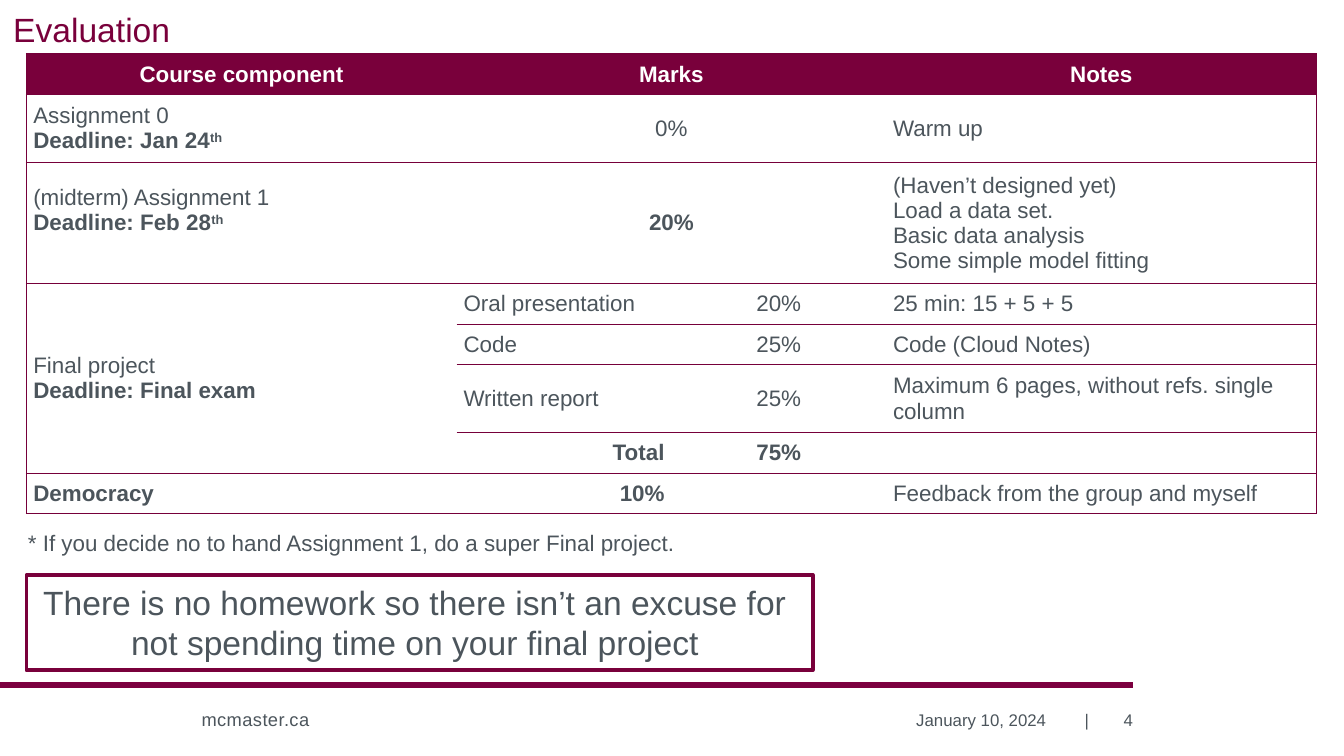
from lxml import etree
from pptx import Presentation
from pptx import util as u
from pptx.dml import color
from pptx.enum import shapes, text
from pptx.oxml import ns

WINE, EDGE, GREY, WHITE = "79003B", "76003A", "4C555C", "FFFFFF"
ALIGN = {"l": text.PP_ALIGN.LEFT, "c": text.PP_ALIGN.CENTER,
         "r": text.PP_ALIGN.RIGHT}
MID = text.MSO_ANCHOR.MIDDLE
LOW = text.MSO_ANCHOR.BOTTOM


def rgb(code):
    return color.RGBColor.from_string(code)


def put(item, vals):
    for name, val in vals.items():
        setattr(item, name, val)


class Deck:
    """Holds the text style and the current slide."""

    def __init__(self, wide, high):
        self.show = Presentation()
        put(self.show, {"slide_width": u.Cm(wide), "slide_height": u.Cm(high)})
        self.slide = self.show.slides.add_slide(self.show.slide_layouts[5])
        self.font = {"name": "Arial", "size": u.Pt(12), "bold": False}

    def words(self, frame, lines, side="l", ink=GREY, **style):
        """A leading ** makes a line bold; text after ^ is raised."""
        for num, line in enumerate(lines):
            para = frame.paragraphs[0] if num == 0 else frame.add_paragraph()
            para.alignment = ALIGN[side]
            bold = line.startswith("**")
            for pos, part in enumerate(line.removeprefix("**").split("^")):
                run = para.add_run()
                run.text = part
                put(run.font, {**self.font, "bold": bold, **style})
                run.font.color.rgb = rgb(ink)
                if pos:
                    run.font._element.set("baseline", "30000")

    def title(self, line, box, frame):
        head = self.slide.shapes.title
        put(head, dict(zip(("left", "top", "width", "height"), map(u.Cm, box))))
        put(head.text_frame, frame)
        self.words(head.text_frame, [line], ink=WINE, size=u.Pt(18))
        head.text_frame.paragraphs[0].line_spacing = 1.5

    def label(self, line, box, side="l", size=9, space=None, **frame):
        note = self.slide.shapes.add_textbox(*map(u.Cm, box))
        put(note.text_frame, {"word_wrap": True, **frame})
        self.words(note.text_frame, [line], side, size=u.Pt(size))
        if space:
            run = note.text_frame.paragraphs[0].runs[0]
            run.font._element.set("spc", str(space))

    def panel(self, lines, box):
        rect = self.slide.shapes.add_shape(shapes.MSO_SHAPE.RECTANGLE,
                                           *map(u.Cm, box))
        rect.shadow.inherit = False
        rect.fill.solid()
        rect.fill.fore_color.rgb = rgb(WHITE)
        rect.line.color.rgb = rgb(WINE)
        rect.line.width = u.Pt(2)
        put(rect.text_frame, {"word_wrap": False,
                              "vertical_anchor": text.MSO_ANCHOR.TOP})
        self.words(rect.text_frame, lines, "c", size=u.Pt(18))

    def rule(self, left, right, top):
        line = self.slide.shapes.add_connector(
            shapes.MSO_CONNECTOR.STRAIGHT, u.Cm(left), u.Cm(top),
            u.Cm(right), u.Cm(top))
        line.line.color.rgb = rgb("7C0040")
        line.line.width = u.Pt(3)
        etree.SubElement(line._element.spPr, ns.qn("a:effectLst"))

    def edges(self, cell, sides):
        props = cell._tc.get_or_add_tcPr()
        for side in "LRTB":
            line = etree.SubElement(props, ns.qn("a:ln" + side), w="9525")
            if side in sides:
                fill = etree.SubElement(line, ns.qn("a:solidFill"))
                etree.SubElement(fill, ns.qn("a:srgbClr"), val=EDGE)
            else:
                etree.SubElement(line, ns.qn("a:noFill"))

    def table(self, rows, box, wides, highs, merges):
        grid = self.slide.shapes.add_table(len(highs), len(wides),
                                           *map(u.Cm, box)).table
        put(grid, {"first_row": False, "horz_banding": False})
        for col, wide in zip(grid.columns, wides):
            col.width = u.Cm(wide)
        for row, high in zip(grid.rows, highs):
            row.height = u.Cm(high)
        for first, last in merges:
            grid.cell(*first).merge(grid.cell(*last))

        pad = {f"margin_{side}": u.Cm(0.13)
               for side in ("left", "right", "top", "bottom")}
        for r, row in enumerate(rows):
            for c, (side, lines) in enumerate(row):
                cell = grid.cell(r, c)
                put(cell, {**pad, "vertical_anchor": MID})
                # No lines inside the tall merged cell
                sides = "L" if c == 0 else "R" if c == len(wides) - 1 else ""
                sides += "" if c == 0 and r in (4, 5, 6) else "T"
                sides += "" if c == 0 and r in (4, 5) else "B"
                self.edges(cell, sides)
                cell.fill.solid()
                cell.fill.fore_color.rgb = rgb(WHITE if r else WINE)
                self.words(cell.text_frame, lines, side, GREY if r else WHITE)
                if not lines:
                    para = cell.text_frame.paragraphs[0]
                    etree.SubElement(para._p, ns.qn("a:endParaRPr"), sz="1200")
        return grid


def main():
    deck = Deck(25.4, 14.29)

    # Title
    deck.title("Evaluation", (0, -0.43, 24.38, 1.37),
               {"vertical_anchor": LOW, "margin_bottom": 0,
                "margin_left": u.Cm(0.25), "margin_right": u.Cm(0.25),
                "auto_size": text.MSO_AUTO_SIZE.NONE})

    # Footer
    deck.rule(0, 21.41, 12.95)
    deck.label("mcmaster.ca", (3.56, 13.26, 6.96, 0.69), size=9.8, space=20)
    deck.label("January 10, 2024", (14.58, 13.23, 5.44, 0.76), "r",
               vertical_anchor=MID)
    deck.label("|", (20.12, 13.23, 0.64, 0.76), "r", vertical_anchor=MID,
               margin_left=u.Cm(0.18), margin_right=u.Cm(0.18))
    deck.label("4", (20.09, 13.23, 1.32, 0.76), "r", vertical_anchor=MID,
               margin_right=0)

    # Marks table
    void = ("l", [])
    rows = [
        [("c", ["**Course component"]), ("c", ["**Marks"]), void,
         ("c", ["**Notes"])],
        [("l", ["Assignment 0", "**Deadline: Jan 24^th"]), ("c", ["0%"]), void,
         ("l", ["Warm up"])],
        [("l", ["(midterm) Assignment 1", "**Deadline: Feb 28^th"]),
         ("c", ["**20%"]), void,
         ("l", ["(Haven’t designed yet)", "Load a data set.",
                "Basic data analysis", "Some simple model fitting"])],
        [("l", ["Final project", "**Deadline: Final exam"]),
         ("l", ["Oral presentation"]), ("c", ["20%"]),
         ("l", ["25 min: 15 + 5 + 5"])],
        [void, ("l", ["Code"]), ("c", ["25%"]), ("l", ["Code (Cloud Notes)"])],
        [void, ("l", ["Written report"]), ("c", ["25%"]),
         ("l", ["Maximum 6 pages, without refs. single column"])],
        [void, ("r", ["**Total"]), ("c", ["**75%"]), void],
        [("l", ["**Democracy"]), ("r", ["**10%"]), void,
         ("l", ["Feedback from the group and myself"])],
    ]
    merges = [((r, 1), (r, 2)) for r in range(3)] + [((3, 0), (6, 0))]
    grid = deck.table(rows, (0.5, 1.02, 24.4, 8.2), (8.13, 4.06, 4.06, 8.13),
                      (0.74, 1.19, 2.15, 0.73, 0.73, 1.19, 0.73, 0.73), merges)
    grid.cell(2, 0).margin_bottom = u.Cm(0.6)

    # Remarks
    deck.label("* If you decide no to hand Assignment 1, do a super Final "
               "project.", (0.28, 9.88, 12.85, 0.76), size=12, word_wrap=False)
    deck.panel(["There is no homework so there isn’t an excuse for ",
                "not spending time on your final project "],
               (0.5, 10.87, 14.86, 1.8))

    deck.show.save("out.pptx")


if __name__ == "__main__":
    main()
